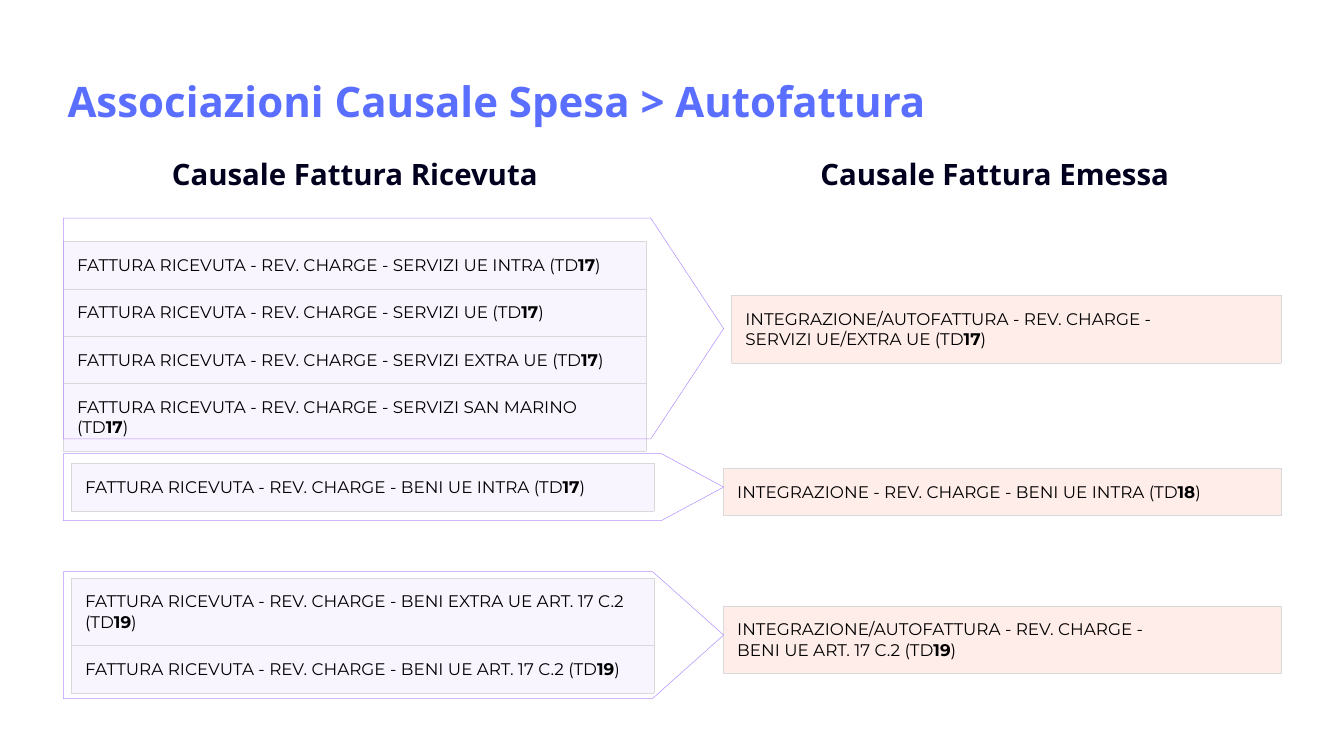
from dataclasses import dataclass

import pptx
import pptx.dml.color
import pptx.enum.shapes
import pptx.enum.text
import pptx.oxml
import pptx.oxml.ns
import pptx.util
from pptx.util import Inches

COLORS = {
    "title": "5A6EFF",
    "head": "00001E",
    "text": "000000",
    "spend": "B491FF",
    "issue": "FF785A",
    "edge": "D9D9D9",
}
ALIGN = pptx.enum.text.PP_ALIGN
ANCHOR = pptx.enum.text.MSO_ANCHOR
ROW = 0.93
TALL = 1.33


@dataclass
class Grid:
    left: float
    top: float
    width: float
    hue: str
    alpha: int
    rows: list[tuple[float, str]]


@dataclass
class Arrow:
    top: float
    height: float
    point: float


@dataclass
class Head:
    left: float
    width: float
    text: str


def spend(left: float, top: float, rows: list[tuple[float, str]]) -> Grid:
    lines = [(height, f"FATTURA RICEVUTA - REV. CHARGE - {text}")
             for height, text in rows]
    return Grid(left, top, 11.56, "spend", 9, lines)


def issue(left: float, top: float, height: float, text: str) -> Grid:
    return Grid(left, top, 25.42 - left, "issue", 13, [(height, text)])


GRIDS = [
    spend(1.26, 4.79, [
        (ROW, "SERVIZI UE INTRA (TD*17*)"),
        (ROW, "SERVIZI UE (TD*17*)"),
        (ROW, "SERVIZI EXTRA UE (TD*17*)"),
        (ROW, "SERVIZI SAN MARINO (TD*17*)"),
    ]),
    spend(1.42, 9.2, [(ROW, "BENI UE INTRA (TD*17*)")]),
    spend(1.42, 11.47, [
        (TALL, "BENI EXTRA UE ART. 17 C.2 (TD*19*)"),
        (ROW, "BENI UE ART. 17 C.2 (TD*19*)"),
    ]),
    issue(14.52, 5.86, TALL,
          "INTEGRAZIONE/AUTOFATTURA - REV. CHARGE -\nSERVIZI UE/EXTRA UE (TD*17*)"),
    issue(14.36, 9.29, ROW,
          "INTEGRAZIONE - REV. CHARGE - BENI UE INTRA (TD*18*)"),
    issue(14.36, 12.02, TALL,
          "INTEGRAZIONE/AUTOFATTURA - REV. CHARGE -\nBENI UE ART. 17 C.2 (TD*19*)"),
]
ARROWS = [Arrow(4.33, 4.38, 0.33), Arrow(9, 1.33, 0.93), Arrow(11.34, 2.52, 0.56)]
HEADS = [
    Head(1.26, 11.56, "Causale Fattura Ricevuta"),
    Head(14.06, 11.36, "Causale Fattura Emessa"),
]


def tint(name: str) -> pptx.dml.color.RGBColor:
    return pptx.dml.color.RGBColor.from_string(COLORS[name])


def write(frame, text: str, *, font: str, size: int, hue: str,
          bold: bool = False, align=ALIGN.LEFT) -> None:
    frame.word_wrap = True
    for place, line in enumerate(text.split("\n")):
        para = frame.add_paragraph() if place else frame.paragraphs[0]
        para.alignment = align
        for turn, part in enumerate(line.split("*")):
            run = para.add_run()
            run.text = part
            run.font.name = font
            run.font.size = pptx.util.Pt(size)
            run.font.bold = bold or turn % 2 == 1
            run.font.color.rgb = tint(hue)


def inset(frame, size: float) -> None:
    frame.margin_left = frame.margin_right = Inches(size)
    frame.margin_top = frame.margin_bottom = Inches(size)


def style(cell, hue: str, alpha: int) -> None:
    inset(cell, 0.27)
    cell.fill.solid()
    cell.fill.fore_color.rgb = tint(hue)
    props = cell._tc.get_or_add_tcPr()
    space = pptx.oxml.ns.nsdecls("a")
    shade = props.find(".//" + pptx.oxml.ns.qn("a:srgbClr"))
    shade.append(pptx.oxml.parse_xml(f'<a:alpha {space} val="{alpha * 1000}"/>'))
    for place, side in enumerate("LRTB"):
        props.insert(place, pptx.oxml.parse_xml(
            f'<a:ln{side} {space} w="9525"><a:solidFill>'
            f'<a:srgbClr val="{COLORS["edge"]}"/></a:solidFill></a:ln{side}>'))


def draw_grid(slide, grid: Grid) -> None:
    total = sum(height for height, _ in grid.rows)
    table = slide.shapes.add_table(
        len(grid.rows), 1, Inches(grid.left), Inches(grid.top),
        Inches(grid.width), Inches(total)).table
    table.first_row = False
    table.horz_banding = False
    for place, (height, text) in enumerate(grid.rows):
        table.rows[place].height = Inches(height)
        cell = table.cell(place, 0)
        style(cell, grid.hue, grid.alpha)
        write(cell.text_frame, text, font="Montserrat", size=24, hue="text")


def draw_arrow(slide, arrow: Arrow) -> None:
    shape = slide.shapes.add_shape(
        pptx.enum.shapes.MSO_SHAPE.PENTAGON, Inches(1.26), Inches(arrow.top),
        Inches(13.1), Inches(arrow.height))
    shape.adjustments[0] = arrow.point
    shape.shadow.inherit = False
    shape.fill.background()
    shape.line.color.rgb = tint("spend")
    shape.line.width = pptx.util.Pt(0.75)


def draw_head(slide, head: Head) -> None:
    frame = slide.shapes.add_textbox(
        Inches(head.left), Inches(3), Inches(head.width), Inches(0.91)).text_frame
    inset(frame, 0.1)
    write(frame, head.text, font="Open Sans", size=42, hue="head",
          bold=True, align=ALIGN.CENTER)


def draw_title(slide) -> None:
    title = slide.shapes.title
    title.left, title.top = Inches(1.24), Inches(1)
    title.width, title.height = Inches(24.18), Inches(2)
    frame = title.text_frame
    inset(frame, 0.1)
    frame.vertical_anchor = ANCHOR.MIDDLE
    frame.auto_size = pptx.enum.text.MSO_AUTO_SIZE.NONE
    write(frame, "Associazioni Causale Spesa > Autofattura",
          font="Open Sans", size=60, hue="title", bold=True)


def main() -> None:
    deck = pptx.Presentation()
    deck.slide_width, deck.slide_height = Inches(26.67), Inches(15)
    slide = deck.slides.add_slide(deck.slide_layouts[5])
    draw_title(slide)
    for head in HEADS:
        draw_head(slide, head)
    for grid in GRIDS:
        draw_grid(slide, grid)
    for arrow in ARROWS:
        draw_arrow(slide, arrow)
    deck.save("out.pptx")


if __name__ == "__main__":
    main()
